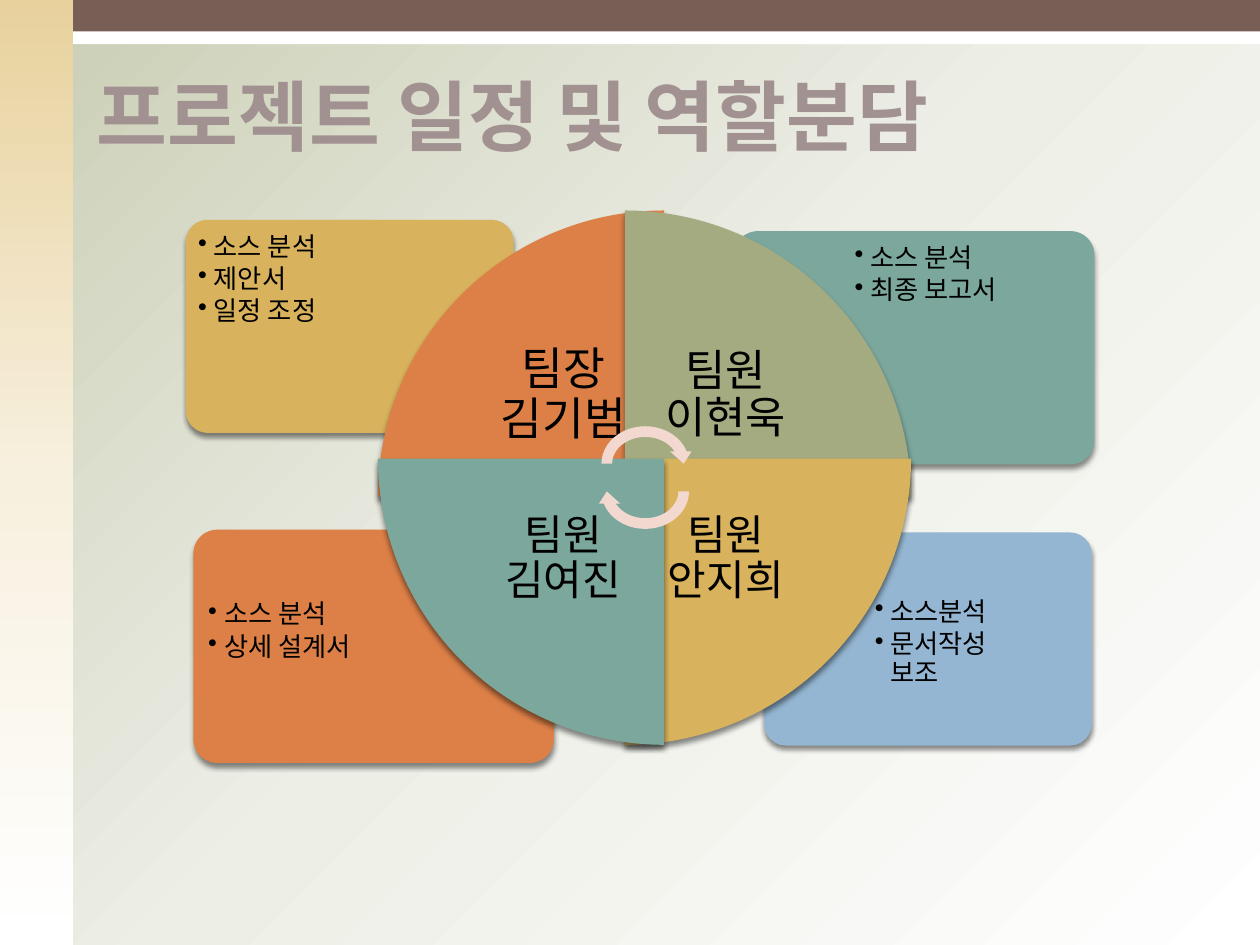
from lxml.etree import SubElement
from pptx import Presentation
from pptx.dml.color import RGBColor
from pptx.enum.shapes import MSO_SHAPE as Preset
from pptx.enum.text import MSO_ANCHOR as Anchor, PP_ALIGN as Align
from pptx.oxml import parse_xml
from pptx.oxml.ns import nsdecls, qn
from pptx.util import Pt

THEME = {
    "korean": "Noto Sans CJK KR", "latin": "Cambria",
    "title": "A19191", "ink": "000000", "brown": "775F55", "white": "FFFFFF",
    "blue": "94B6D2", "orange": "DD8047", "teal": "7BA79D",
    "gold": "D8B25C", "olive": "A5AB81", "pink": "F2D8CF",
    "title_size": 44, "task_size": 15,
    "backdrop": ("C9CDB3", "EDEEE6", "FFFFFF"),
    "side": ("E8D19D", "F7F0DE", "FFFFFF"),
}

TITLE = "프로젝트 일정 및 역할분담"
# Card box, task text box, colour, tasks
CARDS = [
    ((437, 304.6, 186.5, 121), (495.4, 337.7, 125.3, 85), "blue",
     ["소스분석", "문서작성\n보조"]),
    ((110.9, 303.1, 205.2, 132.5), (114.5, 339.1, 137.5, 93.6), "orange",
     ["소스 분석", "상세 설계서"]),
    ((419.8, 132.5, 205.2, 132.5), (483.8, 135.4, 137.5, 93.6), "teal",
     ["소스 분석", "최종 보고서"]),
    ((106.6, 126, 186.5, 121), (108.7, 128.9, 125.3, 85), "gold",
     ["소스 분석", "제안서", "일정 조정"]),
]
# Column, row, colour, type size, member; clockwise from top left
MEMBERS = [
    (0, 0, "orange", 26, "팀장\n김기범"),
    (1, 0, "olive", 25, "팀원\n이현욱"),
    (1, 1, "gold", 24, "팀원\n안지희"),
    (0, 1, "teal", 24, "팀원\n김여진"),
]
WHEEL_X, WHEEL_Y = 216, 120.3
STEP_X, STEP_Y = 141.1, 141.8
WEDGE, LABEL = 163.5, 115.2

deck = Presentation()
deck.slide_width, deck.slide_height = Pt(720), Pt(540)
slide = deck.slides.add_slide(deck.slide_layouts[6])


def color(name):
    return RGBColor.from_string(THEME[name])


def gradient(name, angle):
    stops = "".join(
        f'<a:gs pos="{i * 50000}"><a:srgbClr val="{tone}"/></a:gs>'
        for i, tone in enumerate(THEME[name]))
    return parse_xml(
        f'<a:gradFill {nsdecls("a")} rotWithShape="1"><a:gsLst>{stops}</a:gsLst>'
        f'<a:lin ang="{angle * 60000}" scaled="0"/></a:gradFill>')


def add_block(preset, box, fill, outline=False, shadow=False, rotation=0):
    block = slide.shapes.add_shape(preset, *map(Pt, box))
    block.rotation = rotation
    block.fill.solid()
    block.fill.fore_color.rgb = color(fill)
    if outline:
        block.line.color.rgb = color(fill)
        block.line.width = Pt(0.79)
    else:
        block.line.fill.background()
    block.shadow.inherit = False
    if shadow:
        effects = block._element.spPr.find(qn("a:effectLst"))
        effects.append(parse_xml(
            f'<a:outerShdw {nsdecls("a")} blurRad="{Pt(3)}" dist="{Pt(2.4)}" '
            'dir="5400000" algn="ctr" rotWithShape="0"><a:srgbClr val="000000">'
            '<a:alpha val="45000"/></a:srgbClr></a:outerShdw>'))
    return block


def add_frame(box, anchor, inset=None):
    frame = slide.shapes.add_textbox(*map(Pt, box)).text_frame
    frame.word_wrap = True
    frame.vertical_anchor = anchor
    if inset is not None:
        frame.margin_left = frame.margin_right = Pt(inset)
        frame.margin_top = frame.margin_bottom = Pt(inset)
    return frame


def write(paragraph, text, size, ink="ink", face="latin", bold=False):
    for i, line in enumerate(text.split("\n")):
        if i:
            paragraph.add_line_break()
        run = paragraph.add_run()
        run.text = line
        run.font.size, run.font.bold = Pt(size), bold
        run.font.color.rgb = color(ink)
        run.font.name = THEME[face]
        SubElement(run.font._element, qn("a:ea"), typeface=THEME["korean"])
    for gap in paragraph._p.findall(qn("a:br")):
        SubElement(gap, qn("a:rPr"), sz=str(size * 100))


# Backdrop and frame bands
slide.background.fill.solid()
backdrop = slide._element.cSld.find(qn("p:bg")).find(qn("p:bgPr"))
backdrop.replace(backdrop.find(qn("a:solidFill")), gradient("backdrop", 45))
add_block(Preset.RECTANGLE, (0, 0, 720, 25.2), "white")
side = add_block(Preset.RECTANGLE, (0, 0, 41.8, 540), "white")._element.spPr
side.replace(side.find(qn("a:solidFill")), gradient("side", 90))
add_block(Preset.RECTANGLE, (41.8, 0, 678.2, 18), "brown")

# Title
heading = add_frame((48.2, 25.9, 630, 69.8), Anchor.BOTTOM)
write(heading.paragraphs[0], TITLE, THEME["title_size"], "title", "korean", True)

# Task cards
for card_box, text_box, fill, tasks in CARDS:
    card = add_block(Preset.ROUNDED_RECTANGLE, card_box, fill, True, True)
    card.adjustments[0] = 0.1
    frame = add_frame(text_box, Anchor.TOP, 4.5)
    for i, task in enumerate(tasks):
        item = frame.add_paragraph() if i else frame.paragraphs[0]
        props = item._p.get_or_add_pPr()
        props.set("marL", str(Pt(9)))
        props.set("indent", str(Pt(-9)))
        SubElement(props, qn("a:buChar"), char="•")
        item.line_spacing, item.space_after = 0.9, Pt(2.25)
        write(item, task, THEME["task_size"])

# Member wheel: each label hugs the inner corner of its wedge
for turn, (column, row, fill, size, member) in enumerate(MEMBERS):
    x, y = WHEEL_X + column * STEP_X, WHEEL_Y + row * STEP_Y
    add_block(Preset.PIE_WEDGE, (x, y, WEDGE, WEDGE), fill,
              shadow=True, rotation=90 * turn)
    inward = WEDGE - LABEL
    label_box = (x + inward * (1 - column), y + inward * (1 - row), LABEL, LABEL)
    label = add_frame(label_box, Anchor.MIDDLE, 14).paragraphs[0]
    label.alignment, label.line_spacing = Align.CENTER, 0.9
    write(label, member, size)

# Cycle arrows
for top, rotation in ((240.5, 0), (256.3, 180)):
    add_block(Preset.CIRCULAR_ARROW, (340.6, top, 56.2, 49), "pink",
              rotation=rotation)

deck.save("out.pptx")
